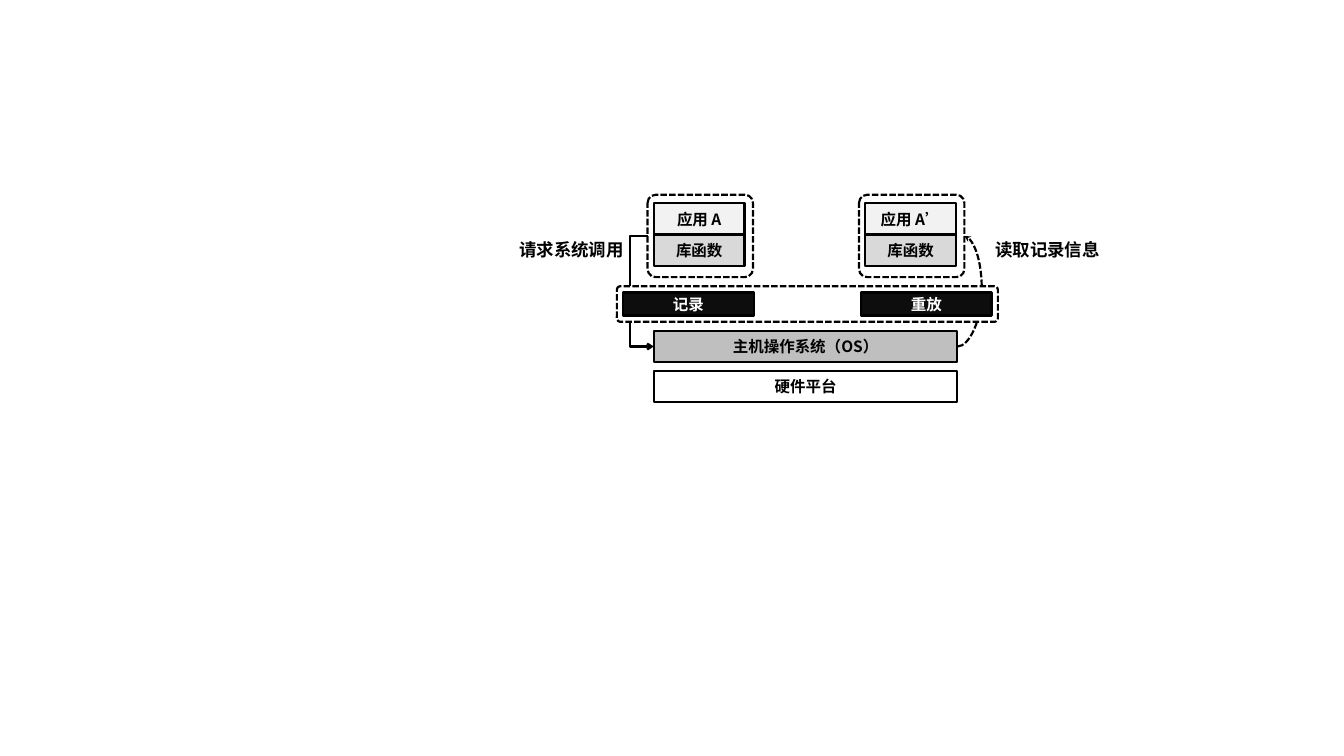
from lxml import etree
from pptx import Presentation
from pptx.dml.color import RGBColor
from pptx.enum.dml import MSO_LINE
from pptx.enum.shapes import MSO_CONNECTOR, MSO_SHAPE
from pptx.enum.text import MSO_ANCHOR, MSO_AUTO_SIZE, PP_ALIGN
from pptx.oxml.ns import qn
from pptx.util import Inches, Pt

RECTANGLE = MSO_SHAPE.RECTANGLE
ROUNDED = MSO_SHAPE.ROUNDED_RECTANGLE
ELBOW = MSO_CONNECTOR.ELBOW
CURVE = MSO_CONNECTOR.CURVE
DASH = MSO_LINE.SQUARE_DOT
MIDDLE = MSO_ANCHOR.MIDDLE
CENTER = PP_ALIGN.CENTER
FIT_SHAPE = MSO_AUTO_SIZE.SHAPE_TO_FIT_TEXT

BLACK = RGBColor(0x00, 0x00, 0x00)
WHITE = RGBColor(0xFF, 0xFF, 0xFF)
APP_GRAY = RGBColor(0xF2, 0xF2, 0xF2)
LIBRARY_GRAY = RGBColor(0xD9, 0xD9, 0xD9)
HOST_GRAY = RGBColor(0xBF, 0xBF, 0xBF)
LAYER_BLACK = RGBColor(0x0D, 0x0D, 0x0D)

FONT = "Noto Sans CJK SC"
LINE_WIDTH = Pt(2.25)
ROW_HEIGHT = 0.45
FRAME_INSET = 0.09
BEND = 0.25


def write_text(text_frame, text, size, color):
    """Write one centred bold line."""
    text_frame.text = text
    paragraph = text_frame.paragraphs[0]
    paragraph.alignment = CENTER
    font = paragraph.runs[0].font
    font.name, font.size, font.bold = FONT, Pt(size), True
    font.color.rgb = color
    properties = paragraph.runs[0]._r.get_or_add_rPr()
    etree.SubElement(properties, qn("a:ea"), typeface=FONT)


def set_outline(line, dashed=False):
    """Give a line the black stroke of the diagram."""
    line.color.rgb = BLACK
    line.width = LINE_WIDTH
    if dashed:
        line.dash_style = DASH


def add_box(slide, box, kind, fill, dashed=False):
    """Add an outlined shape in box (left, top, width, height)."""
    shape = slide.shapes.add_shape(kind, *map(Inches, box))
    shape.shadow.inherit = False
    shape.fill.solid()
    shape.fill.fore_color.rgb = fill
    set_outline(shape.line, dashed)
    return shape


def add_block(slide, box, text, fill, color=BLACK):
    """Add a labelled rectangle."""
    shape = add_box(slide, box, RECTANGLE, fill)
    shape.text_frame.vertical_anchor = MIDDLE
    shape.text_frame.word_wrap = True
    write_text(shape.text_frame, text, 16, color)


def add_frame(slide, box):
    """Add a dashed frame with small round corners."""
    shape = add_box(slide, box, ROUNDED, WHITE, dashed=True)
    shape.adjustments[0] = 0.098


def add_application(slide, box, name):
    """Add a framed application on top of its library functions."""
    left, top, width, _ = box
    add_frame(slide, box)
    rows = ((name, APP_GRAY), ("库函数", LIBRARY_GRAY))
    for index, (text, fill) in enumerate(rows):
        row_top = top + 0.12 + index * ROW_HEIGHT
        add_block(slide, (left + FRAME_INSET, row_top, 1.3, ROW_HEIGHT), text, fill)


def add_host(slide, box):
    """Add the operating system and the hardware below it."""
    left, top, width, height = box
    rows = (("主机操作系统（OS）", HOST_GRAY), ("硬件平台", WHITE))
    for index, (text, fill) in enumerate(rows):
        row_top = top + index * (height - ROW_HEIGHT)
        add_block(slide, (left, row_top, width, ROW_HEIGHT), text, fill)


def add_replay_layer(slide, box):
    """Add the dashed layer with its record and replay blocks."""
    left, top, width, height = box
    block_width = 1.87
    add_frame(slide, box)
    block_lefts = (left + FRAME_INSET, left + width - FRAME_INSET - block_width)
    for block_left, text in zip(block_lefts, ("记录", "重放")):
        block = (block_left, top + FRAME_INSET, block_width, height - 2 * FRAME_INSET)
        add_block(slide, block, text, LAYER_BLACK, WHITE)


def add_arrow(slide, kind, start, end, bend_x, head, dashed=False):
    """Add an arrow from start to end that swings out to bend_x."""
    connector = slide.shapes.add_connector(kind, *map(Inches, start + end))
    set_outline(connector.line, dashed)
    properties = connector._element.spPr
    etree.SubElement(properties.find(qn("a:ln")), qn("a:tailEnd"), type=head)
    etree.SubElement(properties, qn("a:effectLst"))
    ratio = round((bend_x - start[0]) / (end[0] - start[0]) * 100000)
    guides = properties.find(qn("a:prstGeom")).get_or_add_avLst()
    etree.SubElement(guides, qn("a:gd"), name="adj1", fmla=f"val {ratio}")


def add_label(slide, box, text):
    """Add a caption beside an arrow."""
    text_frame = slide.shapes.add_textbox(*map(Inches, box)).text_frame
    text_frame.word_wrap = True
    text_frame.auto_size = FIT_SHAPE
    write_text(text_frame, text, 18, BLACK)


def build_diagram(slide, box):
    """Lay out the record and replay diagram inside box."""
    left, top, width, height = box
    app_width, app_height = 1.51, 1.18
    record_left, replay_left = left + 2.05, left + 5.08
    host = (left + 2.14, top + 1.95, 4.35, height - 1.95)
    for app_left, name in ((record_left, "应用 A"), (replay_left, "应用 A’")):
        add_application(slide, (app_left, top, app_width, app_height), name)
    add_host(slide, host)

    app_y = top + app_height / 2
    host_y = host[1] + ROW_HEIGHT / 2
    host_right = host[0] + host[2]
    app_right = replay_left + app_width
    add_arrow(slide, ELBOW, (record_left, app_y), (host[0], host_y),
              record_left - BEND, "arrow")
    add_arrow(slide, CURVE, (host_right, host_y), (app_right, app_y),
              app_right + BEND, "stealth", dashed=True)

    add_replay_layer(slide, (left + 1.61, top + 1.31, 5.46, 0.51))
    label_width = 1.92
    labels = ((left, "请求系统调用"), (left + width - label_width, "读取记录信息"))
    for label_left, text in labels:
        add_label(slide, (label_left, app_y, label_width, 0.4), text)


def main():
    """Build and save the slide."""
    presentation = Presentation()
    presentation.slide_width = Inches(19.26)
    presentation.slide_height = Inches(10.83)
    slide = presentation.slides.add_slide(presentation.slide_layouts[6])
    build_diagram(slide, (7.23, 2.79, 8.74, 2.97))
    presentation.save("out.pptx")


main()
